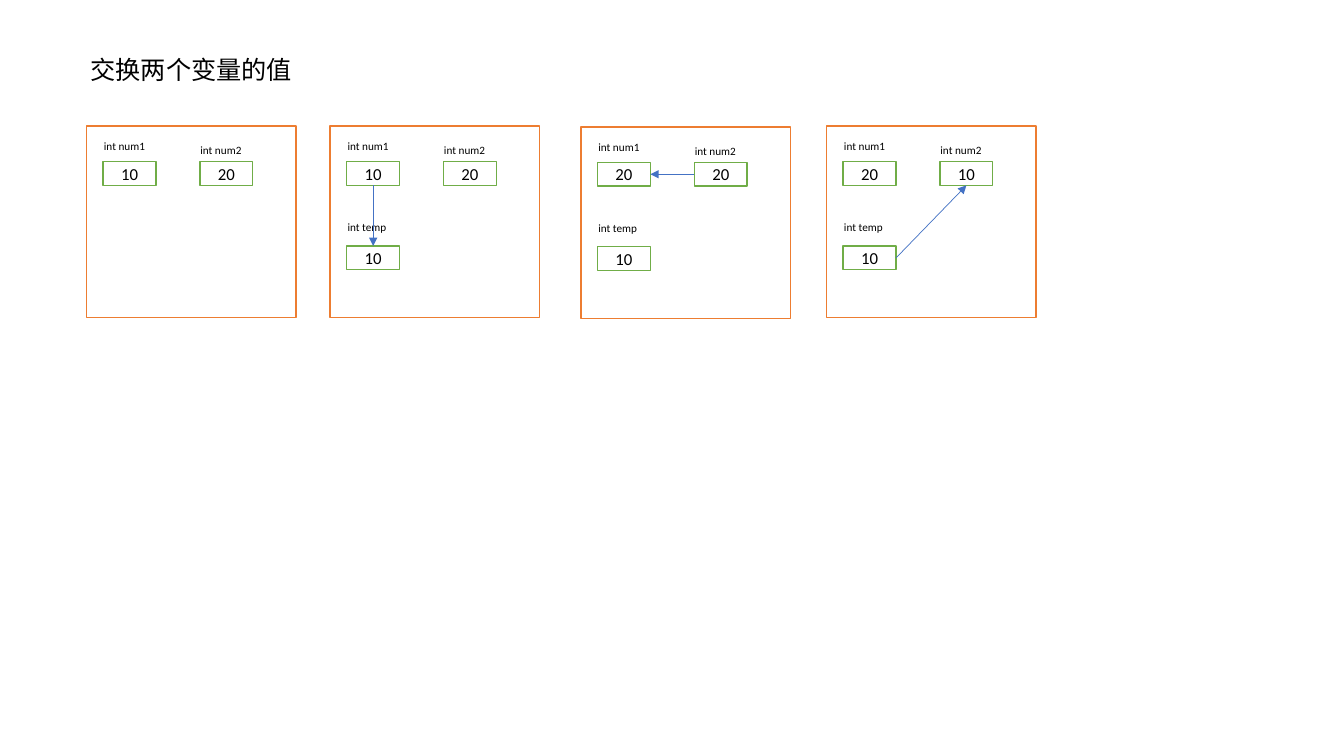
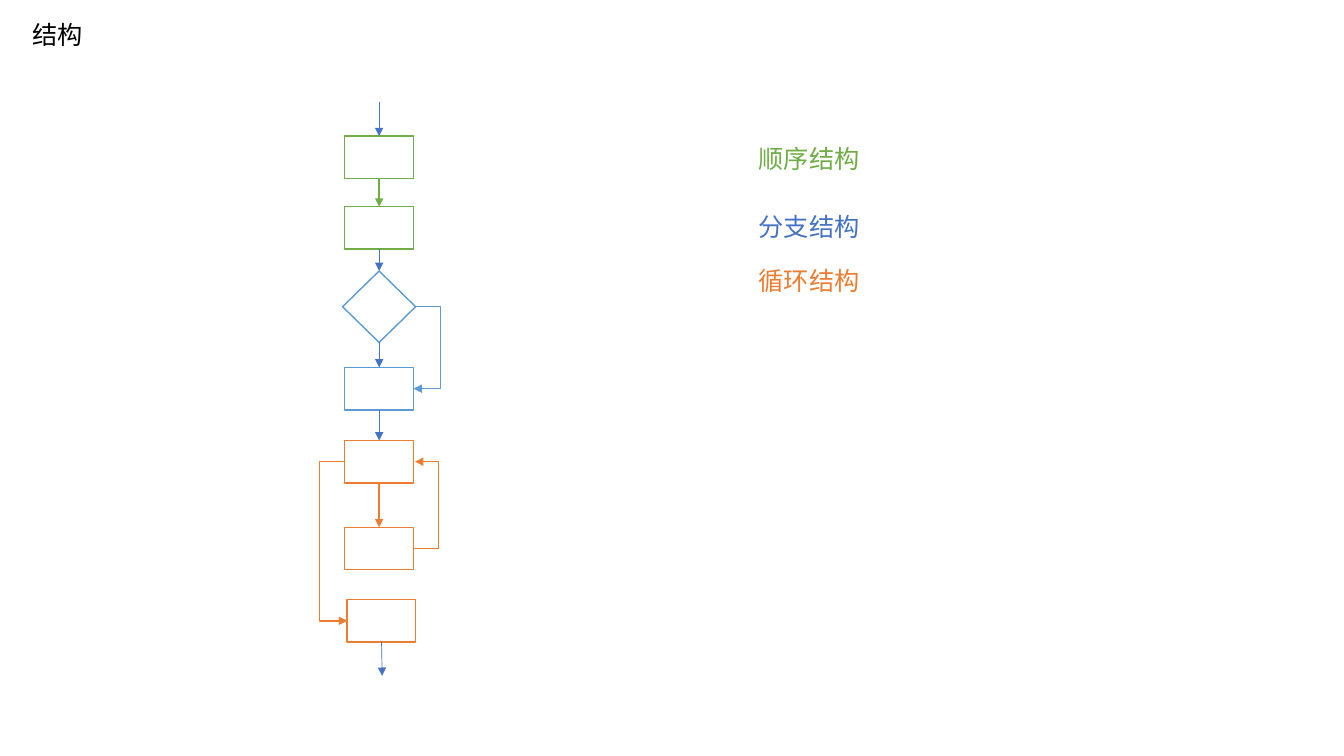
import lxml.etree
import pptx
import pptx.dml.color
import pptx.enum.shapes
import pptx.enum.text
import pptx.oxml.ns
import pptx.util

Cm = pptx.util.Cm
Pt = pptx.util.Pt
RGBColor = pptx.dml.color.RGBColor
SHAPE = pptx.enum.shapes.MSO_SHAPE
CONNECTOR = pptx.enum.shapes.MSO_CONNECTOR
qn = pptx.oxml.ns.qn

BLACK = RGBColor(0x00, 0x00, 0x00)
WHITE = RGBColor(0xFF, 0xFF, 0xFF)
GREEN = RGBColor(0x70, 0xAD, 0x47)
ORANGE = RGBColor(0xED, 0x7D, 0x31)
BLUE = RGBColor(0x44, 0x72, 0xC4)
LIGHT_BLUE = RGBColor(0x5B, 0x9B, 0xD5)

TOP, LEFT, BOTTOM, RIGHT = range(4)


class Deck:
    """Style and current slide; all lengths are given in centimetres."""

    font = "Calibri"

    def __init__(self):
        self.prs = pptx.Presentation()
        self.prs.slide_width = Cm(33.87)
        self.prs.slide_height = Cm(19.05)
        self.s = None

    def slide(self, title, x, y, w):
        self.s = self.prs.slides.add_slide(self.prs.slide_layouts[6])
        self.text(title, x, y, w, 1.02, 18)

    def style(self, p, size, color):
        p.font.name = self.font
        p.font.size = Pt(size)
        p.font.color.rgb = color

    def text(self, text, x, y, w, h, size, color=BLACK, wrap=True):
        tf = self.s.shapes.add_textbox(Cm(x), Cm(y), Cm(w), Cm(h)).text_frame
        tf.word_wrap = wrap
        tf.auto_size = pptx.enum.text.MSO_AUTO_SIZE.SHAPE_TO_FIT_TEXT
        tf.text = text
        self.style(tf.paragraphs[0], size, color)

    def box(self, x, y, w, h, color, text="", kind=SHAPE.RECTANGLE):
        sp = self.s.shapes.add_shape(kind, Cm(x), Cm(y), Cm(w), Cm(h))
        sp.shadow.inherit = False
        sp.fill.solid()
        sp.fill.fore_color.rgb = WHITE
        sp.line.color.rgb = color
        sp.line.width = Pt(1)
        if text:
            tf = sp.text_frame
            tf.text = text
            tf.vertical_anchor = pptx.enum.text.MSO_ANCHOR.MIDDLE
            p = tf.paragraphs[0]
            p.alignment = pptx.enum.text.PP_ALIGN.CENTER
            self.style(p, 12, BLACK)
        return sp

    def arrow(self, x1, y1, x2, y2, color=BLUE, width=0.5, kind=CONNECTOR.STRAIGHT):
        line = self.s.shapes.add_connector(kind, Cm(x1), Cm(y1), Cm(x2), Cm(y2))
        line.line.color.rgb = color
        line.line.width = Pt(width)
        spPr = line._element.spPr
        lxml.etree.SubElement(spPr.find(qn("a:ln")), qn("a:tailEnd"), type="triangle")
        lxml.etree.SubElement(spPr, qn("a:effectLst"))
        return line

    def link(self, start, start_side, end, end_side, color=BLUE, width=0.5):
        """Join the sides of two shapes with a straight arrow."""
        line = self.arrow(0, 0, 0, 0, color, width)
        line.begin_connect(start, start_side)
        line.end_connect(end, end_side)

    def elbow(self, x1, y1, x2, y2, bend_x, color):
        """Draw an arrow whose vertical part runs at bend_x."""
        line = self.arrow(x1, y1, x2, y2, color, 1, CONNECTOR.ELBOW)
        adjust = round((bend_x - x1) / (x2 - x1) * 100000)
        guides = line._element.spPr.find(qn("a:prstGeom")).find(qn("a:avLst"))
        lxml.etree.SubElement(guides, qn("a:gd"), name="adj1", fmla=f"val {adjust}")


# variable: (box offset x, y), (label offset x, y)
VARIABLES = {
    "num1": ((0.42, 0.89), (0.19, 0.2)),
    "num2": ((2.86, 0.89), (2.62, 0.3)),
    "temp": ((0.42, 3.02), (0.19, 2.26)),
}

# panel x, y, values, arrow (from, side, to, side)
SWAP_STEPS = [
    (2.18, 3.18, {"num1": "10", "num2": "20"}, None),
    (8.32, 3.18, {"num1": "10", "num2": "20", "temp": "10"},
     ("num1", BOTTOM, "temp", TOP)),
    (14.64, 3.2, {"num1": "20", "num2": "20", "temp": "10"},
     ("num2", LEFT, "num1", RIGHT)),
    (20.83, 3.18, {"num1": "20", "num2": "10", "temp": "10"},
     ("temp", RIGHT, "num2", BOTTOM)),
]


def swap_slide(deck):
    deck.slide("交换两个变量的值", 2.03, 1.24, 6.38)
    for x, y, values, move in SWAP_STEPS:
        deck.box(x, y, 5.28, 4.83, ORANGE)
        boxes = {}
        for name, value in values.items():
            (box_x, box_y), (label_x, label_y) = VARIABLES[name]
            boxes[name] = deck.box(x + box_x, y + box_y, 1.33, 0.6, GREEN, value)
            deck.text(f"int {name}", x + label_x, y + label_y, 2.72, 0.6, 8)
        if move:
            source, source_side, target, target_side = move
            deck.link(boxes[source], source_side, boxes[target], target_side)


def structure_slide(deck):
    deck.slide("结构", 0.56, 0.36, 1.8)

    x, w, h = 8.69, 1.73, 1.07
    right, middle = x + w, x + w / 2
    exit_x = x + 0.06
    test_y, test_w, test_h = 6.83, 1.84, 1.8
    branch_y, loop_y, body_y, exit_y = 9.26, 11.1, 13.29, 15.11

    first = deck.box(x, 3.43, w, h, GREEN)
    second = deck.box(x, 5.21, w, h, GREEN)
    test = deck.box(middle - test_w / 2, test_y, test_w, test_h, LIGHT_BLUE,
                    kind=SHAPE.DIAMOND)
    branch = deck.box(x, branch_y, w, h, LIGHT_BLUE)
    loop = deck.box(x, loop_y, w, h, ORANGE)
    body = deck.box(x, body_y, w, h, ORANGE)
    last = deck.box(exit_x, exit_y, w, h, ORANGE)

    deck.arrow(middle, 2.57, middle, 3.43).end_connect(first, TOP)
    for start, end, color, width in [
        (first, second, GREEN, 1),
        (second, test, BLUE, 0.5),
        (test, branch, BLUE, 0.5),
        (branch, loop, BLUE, 0.5),
        (loop, body, ORANGE, 1),
    ]:
        deck.link(start, BOTTOM, end, TOP, color, width)
    deck.arrow(9.61, 16.18, 9.63, 17.03).begin_connect(last, BOTTOM)

    deck.elbow(middle + test_w / 2, test_y + test_h / 2,
               right, branch_y + h / 2, 11.1, LIGHT_BLUE)
    deck.elbow(right, body_y + h / 2, right + 0.04, loop_y + h / 2, 11.05, ORANGE)
    deck.elbow(x, loop_y + h / 2, exit_x, exit_y + h / 2, 8.05, ORANGE)

    for text, y, color in [
        ("顺序结构", 3.48, GREEN),
        ("分支结构", 5.21, BLUE),
        ("循环结构", 6.55, ORANGE),
    ]:
        deck.text(text, 18.87, y, 3.07, 1.02, 18, color, wrap=False)


def main():
    deck = Deck()
    swap_slide(deck)
    structure_slide(deck)
    deck.prs.save("out.pptx")


if __name__ == "__main__":
    main()
